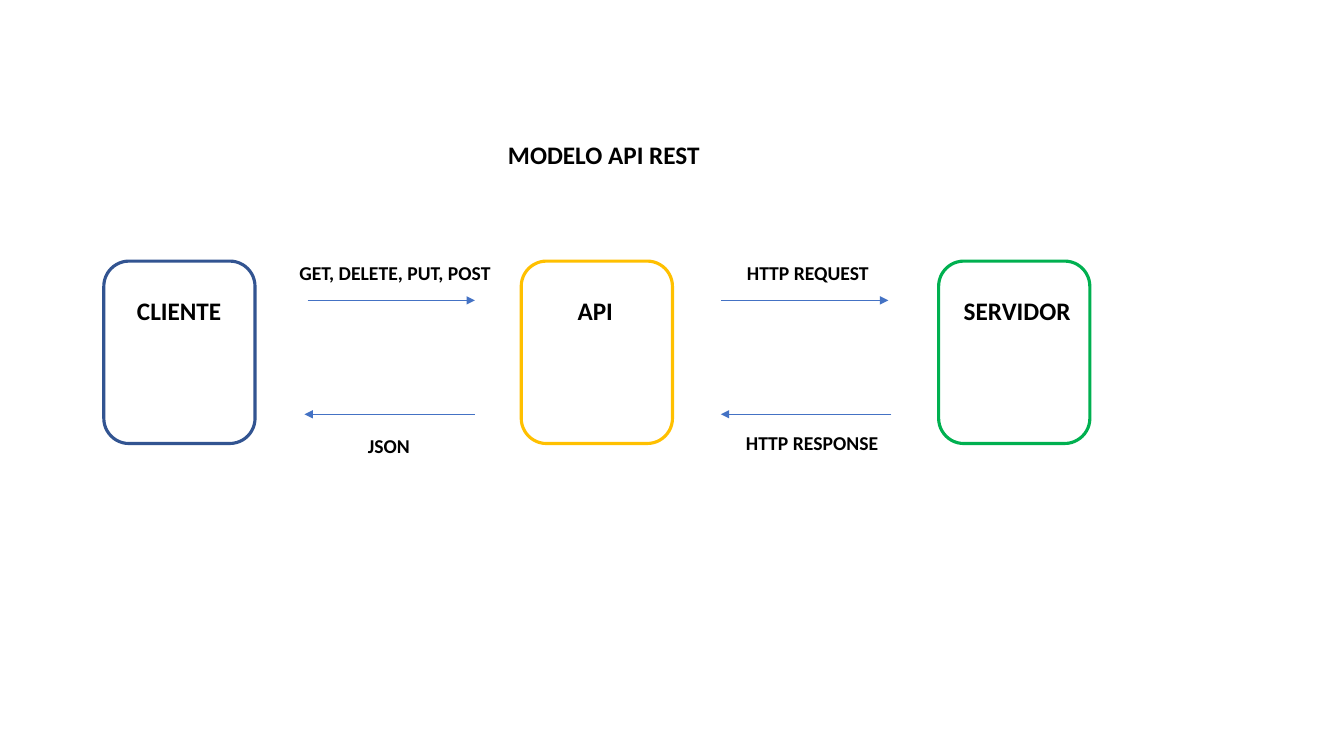
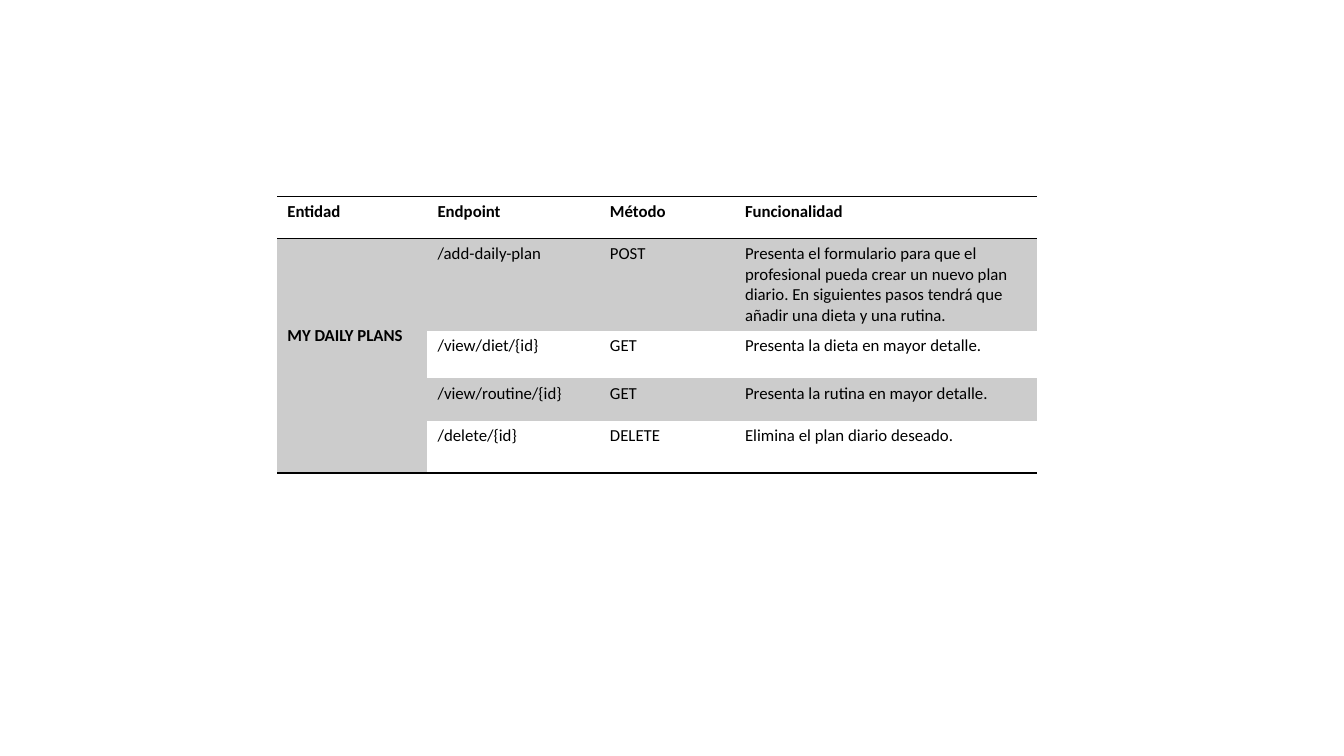
from lxml import etree
from pptx import Presentation
from pptx.dml.color import RGBColor
from pptx.enum import shapes, text
from pptx.oxml.ns import qn
from pptx.util import Inches, Pt

FONT = "Calibri"
BLACK = RGBColor(0x00, 0x00, 0x00)
NAVY = RGBColor(0x32, 0x54, 0x91)
GOLD = RGBColor(0xFF, 0xC0, 0x00)
GREEN = RGBColor(0x00, 0xB0, 0x50)
BLUE = RGBColor(0x44, 0x72, 0xC4)
GREY = RGBColor(0xCC, 0xCC, 0xCC)
NO_STYLE = "{2D5ABB26-0587-4C30-8999-92F81FD0307C}"

# Slide 1: name, outline, left and width of the name
NODES = [
    ("CLIENTE", NAVY, 1.26, 1.15),
    ("API", GOLD, 5.63, 0.9),
    ("SERVIDOR", GREEN, 9.46, 1.48),
]
NODE_X, NODE_Y, NODE_W, NODE_H, STEP = 1.03, 2.59, 1.5, 1.81, 4.14
# Start x, end x, y
ARROWS = [
    (3.05, 4.71, 2.98),
    (7.15, 8.81, 2.98),
    (8.84, 7.15, 4.11),
    (4.71, 3.02, 4.11),
]
# Text, left, top, width, size
LABELS = [
    ("GET, DELETE, PUT, POST", 2.87, 2.54, 2.26, 14),
    ("HTTP REQUEST", 7.31, 2.54, 2.26, 14),
    ("HTTP RESPONSE", 7.3, 4.23, 2.26, 14),
    ("JSON", 3.55, 4.26, 0.86, 14),
    ("MODELO API REST", 4.94, 1.33, 2.26, 18),
]

# Slide 2
ROWS = [
    ("Entidad", "Endpoint", "Método", "Funcionalidad"),
    ("MY DAILY PLANS", "/add-daily-plan", "POST",
     "Presenta el formulario para que el profesional pueda crear un nuevo plan "
     "diario. En siguientes pasos tendrá que añadir una dieta y una rutina."),
    ("", "/view/diet/{id}", "GET", "Presenta la dieta en mayor detalle."),
    ("", "/view/routine/{id}", "GET", "Presenta la rutina en mayor detalle."),
    ("", "/delete/{id}", "DELETE", "Elimina el plan diario deseado."),
]
COLS = [1.49, 1.71, 1.34, 3]
HEIGHTS = [0.42, 0.91, 0.47, 0.42, 0.52]


def write(frame, words, size, bold):
    para = frame.paragraphs[0]
    para.text = words
    style = {"name": FONT, "size": Pt(size), "bold": bold}
    for key, val in style.items():
        setattr(para.font, key, val)
    para.font.color.rgb = BLACK


def add_label(slide, words, x, y, w, size):
    high = 0.4 if size == 18 else 0.34
    box = slide.shapes.add_textbox(Inches(x), Inches(y), Inches(w), Inches(high))
    box.text_frame.word_wrap = True
    box.text_frame.auto_size = text.MSO_AUTO_SIZE.SHAPE_TO_FIT_TEXT
    write(box.text_frame, words, size, True)


def add_node(slide, x, color):
    node = slide.shapes.add_shape(
        shapes.MSO_SHAPE.ROUNDED_RECTANGLE,
        Inches(x), Inches(NODE_Y), Inches(NODE_W), Inches(NODE_H))
    node.shadow.inherit = False
    node.fill.background()
    node.line.color.rgb = color
    node.line.width = Pt(2.25)


def add_arrow(slide, start, end, y):
    arrow = slide.shapes.add_connector(
        shapes.MSO_CONNECTOR.STRAIGHT,
        Inches(start), Inches(y), Inches(end), Inches(y))
    arrow.line.color.rgb = BLUE
    arrow.line.width = Pt(0.5)
    props = arrow._element.spPr
    etree.SubElement(props.find(qn("a:ln")), qn("a:tailEnd"), type="triangle")
    etree.SubElement(props, qn("a:effectLst"))


def add_rule(cell, side):
    """Draw a black rule on side T or B; call before the cell is filled."""
    props = cell._tc.get_or_add_tcPr()
    line = etree.SubElement(props, qn("a:ln" + side), w=str(Pt(1)))
    fill = etree.SubElement(line, qn("a:solidFill"))
    etree.SubElement(fill, qn("a:srgbClr"), val=str(BLACK))


def draw_model(slide):
    for i, (name, color, x, w) in enumerate(NODES):
        add_node(slide, NODE_X + i * STEP, color)
        add_label(slide, name, x, 2.88, w, 18)
    for arrow in ARROWS:
        add_arrow(slide, *arrow)
    for label in LABELS:
        add_label(slide, *label)


def draw_table(slide):
    frame = slide.shapes.add_table(
        len(ROWS), len(COLS), Inches(2.75), Inches(1.95),
        Inches(sum(COLS)), Inches(sum(HEIGHTS)))
    table = frame.table
    table.horz_banding = False
    for style in frame._element.iter(qn("a:tableStyleId")):
        style.text = NO_STYLE
    for col, w in zip(table.columns, COLS):
        col.width = Inches(w)
    for row, high in zip(table.rows, HEIGHTS):
        row.height = Inches(high)

    last = len(ROWS) - 1
    entity = table.cell(1, 0)
    entity.merge(table.cell(last, 0))
    entity.margin_top = Inches(0.86)
    for r, row in enumerate(ROWS):
        for c, words in enumerate(row):
            cell = table.cell(r, c)
            write(cell.text_frame, words, 12, r == 0 or c == 0)
            if r == 0:
                add_rule(cell, "T")
            if r in (0, last) or (r, c) == (1, 0):
                add_rule(cell, "B")
            if r % 2 or (r and c == 0):
                cell.fill.solid()
                cell.fill.fore_color.rgb = GREY
            else:
                cell.fill.background()


def main():
    deck = Presentation()
    deck.slide_width, deck.slide_height = Inches(13.33), Inches(7.5)
    for draw in (draw_model, draw_table):
        draw(deck.slides.add_slide(deck.slide_layouts[6]))
    deck.save("out.pptx")


if __name__ == "__main__":
    main()
